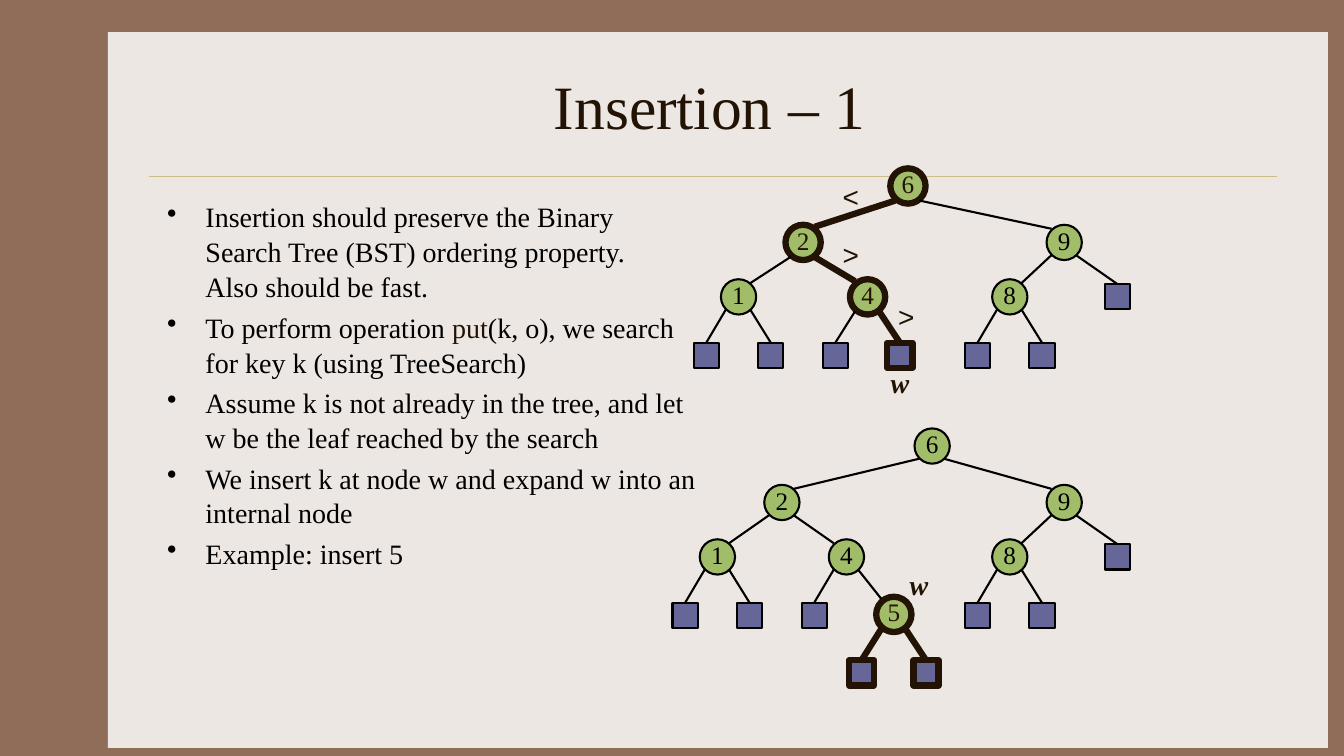
from dataclasses import dataclass

from lxml.etree import SubElement
from pptx import Presentation
from pptx.dml.color import RGBColor
from pptx.enum.shapes import MSO_CONNECTOR as Link, MSO_SHAPE as Shape
from pptx.enum.text import MSO_ANCHOR as Anchor, PP_ALIGN as Align
from pptx.oxml.ns import qn
from pptx.shapes.autoshape import Shape as AutoShape
from pptx.shapes.connector import Connector
from pptx.slide import Slide
from pptx.util import Emu, Pt

PX = 9144  # EMU per px, 100 px to the inch


@dataclass(frozen=True)
class Theme:
    frame: str = "906D58"
    panel: str = "EDE7E3"
    rule: str = "CBBD83"
    ink: str = "000000"
    accent: str = "221304"
    inner: str = "A1BD69"
    leaf: str = "666699"
    serif: str = "Times New Roman"
    sans: str = "Arial"
    title_size: int = 44
    body_size: int = 20
    key_size: int = 18
    thin: float = 1.5
    thick: float = 4.5


THEME = Theme()
CIRCLE, SQUARE = 35, 25
LEAF_DROP = 63


@dataclass(frozen=True)
class Node:
    key: str  # empty for a leaf
    left: int
    top: int
    children: tuple["Node", ...] = ()
    on_path: bool = False

    @property
    def size(self) -> int:
        return CIRCLE if self.key else SQUARE

    def corner(self, side: int, down: int) -> tuple[int, int]:
        """Point on the circle's diagonal; side and down are -1 or 1."""
        rise = 15 if self.on_path else 13
        return self.left + 17 + side * 12, self.top + 17 + down * rise


@dataclass(frozen=True)
class Label:
    text: str
    left: int
    top: int
    width: int
    font: str
    strong: bool = False


def color(value: str) -> RGBColor:
    return RGBColor.from_string(value)


def px(*lengths: int) -> list[Emu]:
    return [Emu(length * PX) for length in lengths]


def bottom_node(key: str, left: int, top: int, marked: tuple[bool, bool] = (False, False),
                on_path: bool = False) -> Node:
    """An inner node with a leaf on either side."""
    leaves = tuple(Node("", left + shift, top + LEAF_DROP, on_path=mark)
                   for shift, mark in zip((-27, 37), marked))
    return Node(key, left, top, leaves, on_path)


def right_branch(top: int) -> Node:
    return Node("9", 1038, top, (bottom_node("8", 984, top + 54), Node("", 1096, top + 59)))


def style_font(paragraph, size: int, ink: str, name: str = THEME.serif) -> None:
    font = paragraph.font
    font.size, font.name = Pt(size), name
    font.color.rgb = color(ink)


def draw_shape(slide: Slide, kind: Shape, box: tuple[int, int, int, int], fill: str) -> AutoShape:
    shape = slide.shapes.add_shape(kind, *px(*box))
    shape.shadow.inherit = False
    shape.fill.solid()
    shape.fill.fore_color.rgb = color(fill)
    return shape


def draw_line(slide: Slide, start: tuple[int, int], end: tuple[int, int],
              ink: str, width: float) -> Connector:
    line = slide.shapes.add_connector(Link.STRAIGHT, *px(*start, *end))
    line.line.color.rgb = color(ink)
    line.line.width = Pt(width)
    SubElement(line.element.spPr, qn("a:effectLst"))
    return line


def draw_tree(slide: Slide, node: Node) -> AutoShape:
    """Draw a node, its subtrees and the edges to them."""
    ink, width = (THEME.accent, THEME.thick) if node.on_path else (THEME.ink, THEME.thin)
    kind, fill = (Shape.OVAL, THEME.inner) if node.key else (Shape.RECTANGLE, THEME.leaf)
    shape = draw_shape(slide, kind, (node.left, node.top, node.size, node.size), fill)
    shape.line.color.rgb = color(ink)
    shape.line.width = Pt(width)
    if node.key:
        frame = shape.text_frame
        frame.word_wrap = False
        frame.vertical_anchor = Anchor.MIDDLE
        frame.margin_left, frame.margin_top, frame.margin_right, frame.margin_bottom = px(0, 0, 0, 5)
        frame.text = node.key
        frame.paragraphs[0].alignment = Align.CENTER
        style_font(frame.paragraphs[0], THEME.key_size, ink)

    for side, child in zip((-1, 1), node.children):
        child_shape = draw_tree(slide, child)
        bold = node.on_path and child.on_path
        edge = draw_line(slide, node.corner(side, 1), child.corner(-side, -1),
                         THEME.accent if bold else THEME.ink,
                         THEME.thick if bold else THEME.thin)
        if not child.key:
            edge.end_connect(child_shape, 0)
    return shape


def draw_label(slide: Slide, label: Label) -> None:
    frame = slide.shapes.add_textbox(*px(label.left, label.top, label.width, 43)).text_frame
    frame.word_wrap = False
    frame.text = label.text
    mark = frame.paragraphs[0]
    mark.alignment = Align.CENTER
    style_font(mark, THEME.body_size, THEME.accent, label.font)
    mark.font.bold = mark.font.italic = label.strong


def draw_points(slide: Slide, points: list[tuple[str, ...]]) -> None:
    """Bulleted text; the second run of a point is accented."""
    frame = slide.shapes.add_textbox(*px(156, 192, 544, 450)).text_frame
    frame.word_wrap = True
    for index, runs in enumerate(points):
        point = frame.paragraphs[0] if index == 0 else frame.add_paragraph()
        point.space_before = Pt(4)
        point.line_spacing = 1.04
        style_font(point, THEME.body_size, THEME.ink)
        for position, text in enumerate(runs):
            for line_index, line in enumerate(text.split("\n")):
                if line_index:
                    point.add_line_break()
                run = point.add_run()
                run.text = line
                if position == 1:
                    run.font.color.rgb = color(THEME.accent)
        props = point._p.get_or_add_pPr()
        props.set("marL", str(38 * PX))
        props.set("indent", str(-38 * PX))
        bullet = SubElement(props, qn("a:buChar"), char="•")
        props.find(qn("a:defRPr")).addprevious(bullet)


POINTS = [
    ("Insertion should preserve the Binary Search Tree (BST) ordering property.\nAlso should be fast.",),
    ("To perform operation ", "put", "(k, o), we search for key k (using TreeSearch)"),
    ("Assume k is not already in the tree, and let w be the leaf reached by the search",),
    ("We insert k at node w and expand w into an internal node",),
    ("Example: insert 5",),
]

SEARCH_TREE = Node("6", 883, 167, (
    Node("2", 779, 223, (
        bottom_node("1", 715, 277),
        bottom_node("4", 843, 277, marked=(False, True), on_path=True),
    ), on_path=True),
    right_branch(223),
), on_path=True)

EXPANDED_TREE = Node("6", 907, 425, (
    Node("2", 758, 481, (
        bottom_node("1", 694, 535),
        Node("4", 822, 535, (
            Node("", 795, 535 + LEAF_DROP),
            bottom_node("5", 869, 592, marked=(True, True), on_path=True),
        )),
    )),
    right_branch(481),
))

LABELS = [
    Label("<", 826, 173, 35, THEME.sans),
    Label(">", 826, 231, 35, THEME.sans),
    Label(">", 881, 292, 35, THEME.sans),
    Label("w", 873, 358, 39, THEME.serif, strong=True),
    Label("w", 892, 558, 39, THEME.serif, strong=True),
]


def main() -> None:
    deck = Presentation()
    deck.slide_width, deck.slide_height = px(1333, 750)
    slide = deck.slides.add_slide(deck.slide_layouts[5])

    # Backdrop, placed behind the title
    slide.background.fill.solid()
    slide.background.fill.fore_color.rgb = color(THEME.frame)
    panel = draw_shape(slide, Shape.RECTANGLE, (107, 32, 1210, 710), THEME.panel)
    panel.line.fill.background()
    title = slide.shapes.title
    title.element.addprevious(panel.element)
    draw_line(slide, (148, 175), (1267, 175), THEME.rule, 0.25)

    # Title and points
    title.left, title.top, title.width, title.height = px(156, 42, 1111, 125)
    title.text_frame.text = "Insertion – 1 "
    title.text_frame.vertical_anchor = Anchor.MIDDLE
    title.text_frame.paragraphs[0].alignment = Align.CENTER
    style_font(title.text_frame.paragraphs[0], THEME.title_size, THEME.accent)
    draw_points(slide, POINTS)

    # Trees and their marks
    for tree in (SEARCH_TREE, EXPANDED_TREE):
        draw_tree(slide, tree)
    for label in LABELS:
        draw_label(slide, label)

    deck.save("out.pptx")


if __name__ == "__main__":
    main()
